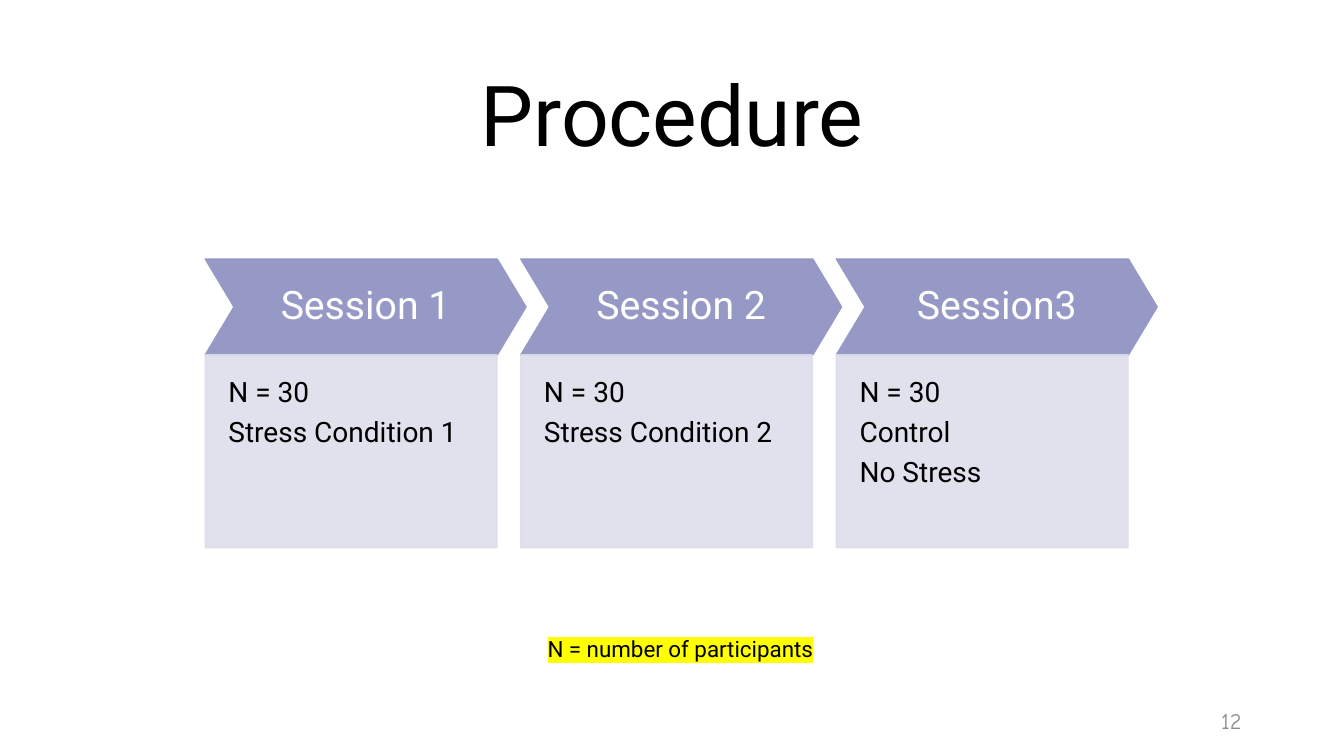
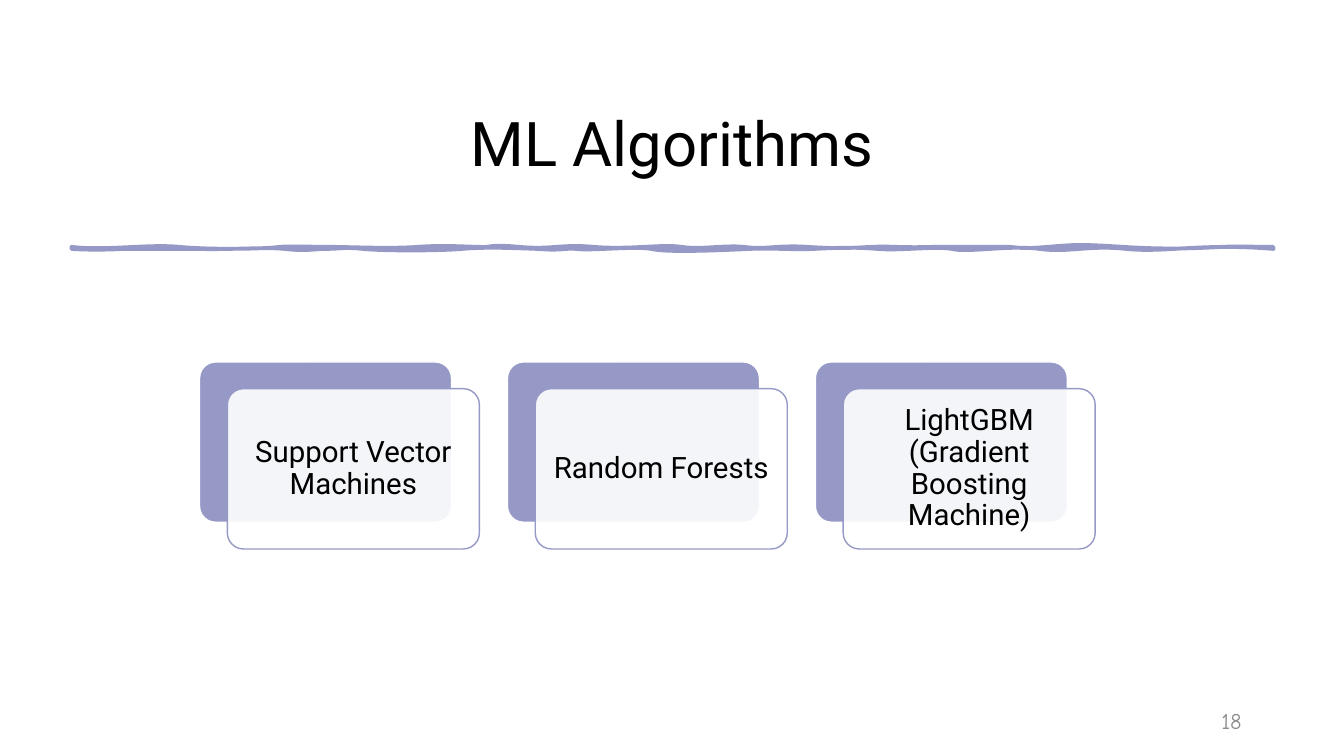
"""Build two study slides: the session procedure and the machine learning algorithms."""
from dataclasses import dataclass
from typing import NamedTuple, Optional

from lxml.etree import SubElement
from pptx import Presentation
from pptx.dml.color import RGBColor
from pptx.enum.shapes import MSO_SHAPE as Preset
from pptx.enum.text import MSO_ANCHOR as Anchor, PP_ALIGN as Align
from pptx.oxml.ns import qn
from pptx.util import Emu, Inches, Pt

SLIDE_W, SLIDE_H = Inches(13.33), Inches(7.5)
LAVENDER = RGBColor(0x96, 0x99, 0xC6)
MIST = RGBColor(0xDD, 0xDE, 0xEA)
WHITE = RGBColor(0xFF, 0xFF, 0xFF)
BLACK = RGBColor(0, 0, 0)
GREY = RGBColor(0x8C, 0x8C, 0x8C)
BODY_FONT, NUMBER_FONT = "Roboto", "Comic Neue"
TITLE_ONLY = 5


class Box(NamedTuple):
    """Position and size in percent of the slide."""
    left: float
    top: float
    width: float
    height: float

    def shifted(self, right: float, down: float = 0) -> "Box":
        return self._replace(left=self.left + right, top=self.top + down)

    def emu(self) -> tuple:
        return tuple(Emu(round(share * side / 100))
                     for share, side in zip(self, (SLIDE_W, SLIDE_H) * 2))


@dataclass(frozen=True)
class Lettering:
    size: float
    color: RGBColor = BLACK
    font: str = BODY_FONT
    align: Align = Align.CENTER
    anchor: Anchor = Anchor.MIDDLE
    insets: tuple = (0.1, 0.05, 0.1, 0.05)
    spacing: float = 1.0
    gap: float = 0


@dataclass(frozen=True)
class Look:
    preset: Preset
    fill: RGBColor
    line: Optional[RGBColor] = None
    corner: Optional[float] = None
    fill_alpha: int = 100
    line_alpha: int = 100


@dataclass(frozen=True)
class Session:
    name: str
    details: str


SESSIONS = (
    Session("Session 1", "N = 30\nStress Condition 1"),
    Session("Session 2", "N = 30\nStress Condition 2"),
    Session("Session3", "N = 30\nControl\nNo Stress"),
)
ALGORITHMS = ("Support Vector Machines", "Random Forests",
              "LightGBM (Gradient Boosting Machine)")

FULL_SLIDE = Box(0, 0, 100, 100)
SESSION_HEAD = Box(15.27, 34.25, 23.87, 12.7)
SESSION_BODY = Box(15.27, 46.95, 21.7, 25.5)
SESSION_PITCH = 23.48
CARD_BACK = Box(14.85, 47.88, 18.75, 21.2)
CARD_PITCH = 22.91
CARD_OFFSET = (2.07, 3.53)
PAGE_NUMBER = Box(70.62, 92.67, 22.5, 5.33)
PARTICIPANT_NOTE = Box(40, 83.33, 50, 4.93)

BACKDROP_LOOK = Look(Preset.RECTANGLE, WHITE)
HEAD_LOOK = Look(Preset.CHEVRON, LAVENDER, LAVENDER, 0.3)
BODY_LOOK = Look(Preset.RECTANGLE, MIST, MIST, fill_alpha=90, line_alpha=90)
BACK_LOOK = Look(Preset.ROUNDED_RECTANGLE, LAVENDER, WHITE, 0.1)
FRONT_LOOK = Look(Preset.ROUNDED_RECTANGLE, WHITE, LAVENDER, 0.1, fill_alpha=90)

HEAD_TEXT = Lettering(28, WHITE, insets=(0.12,) * 4, spacing=0.9, gap=10)
BODY_TEXT = Lettering(20, align=Align.LEFT, anchor=Anchor.TOP,
                      insets=(0.23, 0.23, 0.23, 0.46), spacing=0.9, gap=7)
CARD_TEXT = Lettering(21, insets=(0.09,) * 4, spacing=0.9, gap=7)
NOTE_TEXT = Lettering(16, align=Align.LEFT, anchor=Anchor.TOP)
NUMBER_TEXT = Lettering(16, GREY, NUMBER_FONT, Align.RIGHT)

STROKE_START, STROKE_END = 0.71, 12.63
LOWER_Y, UPPER_Y = 2.47, 2.45
LOWER_EDGE = (
    (0.84, 2.48, 1.07, 2.48, 1.22), (1.36, 2.47, 1.66, 2.47, 1.96),
    (2.26, 2.48, 2.64, 2.45, 2.82), (3.01, 2.49, 3.03, 2.48, 3.21),
    (3.4, 2.47, 3.41, 2.45, 3.6), (3.79, 2.49, 4.36, 2.49, 4.58),
    (4.81, 2.45, 5.07, 2.46, 5.33), (5.58, 2.49, 5.59, 2.46, 5.72),
    (5.84, 2.49, 6.31, 2.44, 6.46), (6.61, 2.51, 7.22, 2.48, 7.44),
    (7.67, 2.46, 7.86, 2.48, 8.07), (8.28, 2.46, 8.46, 2.45, 8.7),
    (8.93, 2.49, 9.28, 2.44, 9.44), (9.6, 2.51, 10, 2.43, 10.31),
    (10.61, 2.51, 10.78, 2.43, 11.17), (11.56, 2.51, 11.9, 2.41, 12.63),
)
UPPER_EDGE = (
    (STROKE_END, LOWER_Y, STROKE_END, 2.46, STROKE_END),
    (12.38, 2.45, 12.31, 2.44, 12.12), (11.93, 2.46, 11.6, 2.48, 11.14),
    (10.68, 2.42, 10.65, 2.43, 10.39), (10.14, 2.47, 10.15, 2.46, 10.01),
    (9.86, 2.45, 9.6, 2.45, 9.26), (8.92, 2.46, 8.84, 2.44, 8.64),
    (8.44, 2.46, 8.31, 2.47, 8.01), (7.71, 2.43, 7.59, 2.48, 7.38),
    (7.18, 2.43, 6.95, 2.48, 6.76), (6.57, 2.42, 6.24, 2.48, 5.89),
    (5.55, 2.42, 5.48, 2.48, 5.15), (4.82, 2.42, 4.88, 2.46, 4.76),
    (4.64, 2.45, 4.41, 2.43, 4.14), (3.86, 2.47, 3.47, 2.45, 3.27),
    (3.08, 2.45, 2.88, 2.44, 2.77), (2.65, 2.47, 2.09, 2.48, 1.78),
    (1.47, 2.42, 1.05, 2.49, STROKE_START),
)


def write(target, text: str, style: Lettering) -> None:
    frame = target.text_frame
    frame.text = text
    frame.word_wrap = True
    frame.vertical_anchor = style.anchor
    (frame.margin_left, frame.margin_top,
     frame.margin_right, frame.margin_bottom) = map(Inches, style.insets)
    for paragraph in frame.paragraphs:
        paragraph.alignment = style.align
        paragraph.line_spacing = style.spacing
        paragraph.space_before = Pt(0)
        paragraph.space_after = Pt(style.gap)
        for run in paragraph.runs:
            run.font.size = Pt(style.size)
            run.font.name = style.font
            run.font.color.rgb = style.color


def set_alpha(parent, percent: int) -> None:
    if percent < 100:
        color = parent.find(qn("a:solidFill")).find(qn("a:srgbClr"))
        SubElement(color, qn("a:alpha")).set("val", str(percent * 1000))


def paint(shape, fill: RGBColor, line: Optional[RGBColor], weight: float = 1) -> None:
    shape.shadow.inherit = False
    shape.fill.solid()
    shape.fill.fore_color.rgb = fill
    if line is None:
        shape.line.fill.background()
    else:
        shape.line.color.rgb = line
        shape.line.width = Pt(weight)


def add_panel(slide, box: Box, look: Look):
    panel = slide.shapes.add_shape(look.preset, *box.emu())
    paint(panel, look.fill, look.line)
    if look.corner is not None:
        panel.adjustments[0] = look.corner
    properties = panel._element.spPr
    set_alpha(properties, look.fill_alpha)
    set_alpha(properties.find(qn("a:ln")), look.line_alpha)
    return panel


def add_label(slide, box: Box, text: str, style: Lettering):
    label = slide.shapes.add_textbox(*box.emu())
    write(label, text, style)
    return label


def highlight(run, color: str) -> None:
    properties = run.font._element
    mark = SubElement(properties, qn("a:highlight"))
    SubElement(mark, qn("a:srgbClr")).set("val", color)
    properties.find(qn("a:solidFill")).addnext(mark)


def add_titled_slide(deck, title: str, size: float, box: Box, number: int):
    slide = deck.slides.add_slide(deck.slide_layouts[TITLE_ONLY])
    heading = slide.shapes.title
    heading.left, heading.top, heading.width, heading.height = box.emu()
    write(heading, title, Lettering(size))
    backdrop = add_panel(slide, FULL_SLIDE, BACKDROP_LOOK)
    heading._element.addprevious(backdrop._element)
    add_label(slide, PAGE_NUMBER, str(number), NUMBER_TEXT)
    return slide


def edge_points(curves: tuple, y: float) -> list:
    return [(Inches(px), Inches(py)) for x1, y1, x2, y2, end in curves
            for px, py in ((x1, y1), (x2, y2), (end, y))]


def bend_segments(outline) -> None:
    straight = outline.findall(qn("a:lnTo"))
    for first in range(0, len(straight), 3):
        curve = SubElement(outline, qn("a:cubicBezTo"))
        straight[first].addprevious(curve)
        for segment in straight[first:first + 3]:
            curve.append(segment[0])
            outline.remove(segment)


def add_brush_stroke(slide) -> None:
    builder = slide.shapes.build_freeform(Inches(STROKE_START), Inches(LOWER_Y))
    builder.add_line_segments(edge_points(LOWER_EDGE, LOWER_Y)
                              + edge_points(UPPER_EDGE, UPPER_Y), close=True)
    stroke = builder.convert_to_shape()
    bend_segments(next(stroke._element.spPr.iter(qn("a:path"))))
    paint(stroke, LAVENDER, LAVENDER, 2.75)


def build_procedure(deck) -> None:
    slide = add_titled_slide(deck, "Procedure", 60, Box(6.88, 5.33, 86.25, 19.33), 12)
    for column, session in enumerate(SESSIONS):
        shift = column * SESSION_PITCH
        write(add_panel(slide, SESSION_HEAD.shifted(shift), HEAD_LOOK),
              session.name, HEAD_TEXT)
        write(add_panel(slide, SESSION_BODY.shifted(shift), BODY_LOOK),
              session.details, BODY_TEXT)
    note = add_label(slide, PARTICIPANT_NOTE, "N = number of participants", NOTE_TEXT)
    highlight(note.text_frame.paragraphs[0].runs[0], "FFFF00")


def build_algorithms(deck) -> None:
    slide = add_titled_slide(deck, "ML Algorithms", 44, Box(5.22, 9.2, 89.57, 19.2), 18)
    add_brush_stroke(slide)
    for column, algorithm in enumerate(ALGORITHMS):
        back = CARD_BACK.shifted(column * CARD_PITCH)
        add_panel(slide, back, BACK_LOOK)
        write(add_panel(slide, back.shifted(*CARD_OFFSET), FRONT_LOOK),
              algorithm, CARD_TEXT)


def main() -> None:
    deck = Presentation()
    deck.slide_width, deck.slide_height = SLIDE_W, SLIDE_H
    build_procedure(deck)
    build_algorithms(deck)
    deck.save("out.pptx")


if __name__ == "__main__":
    main()
